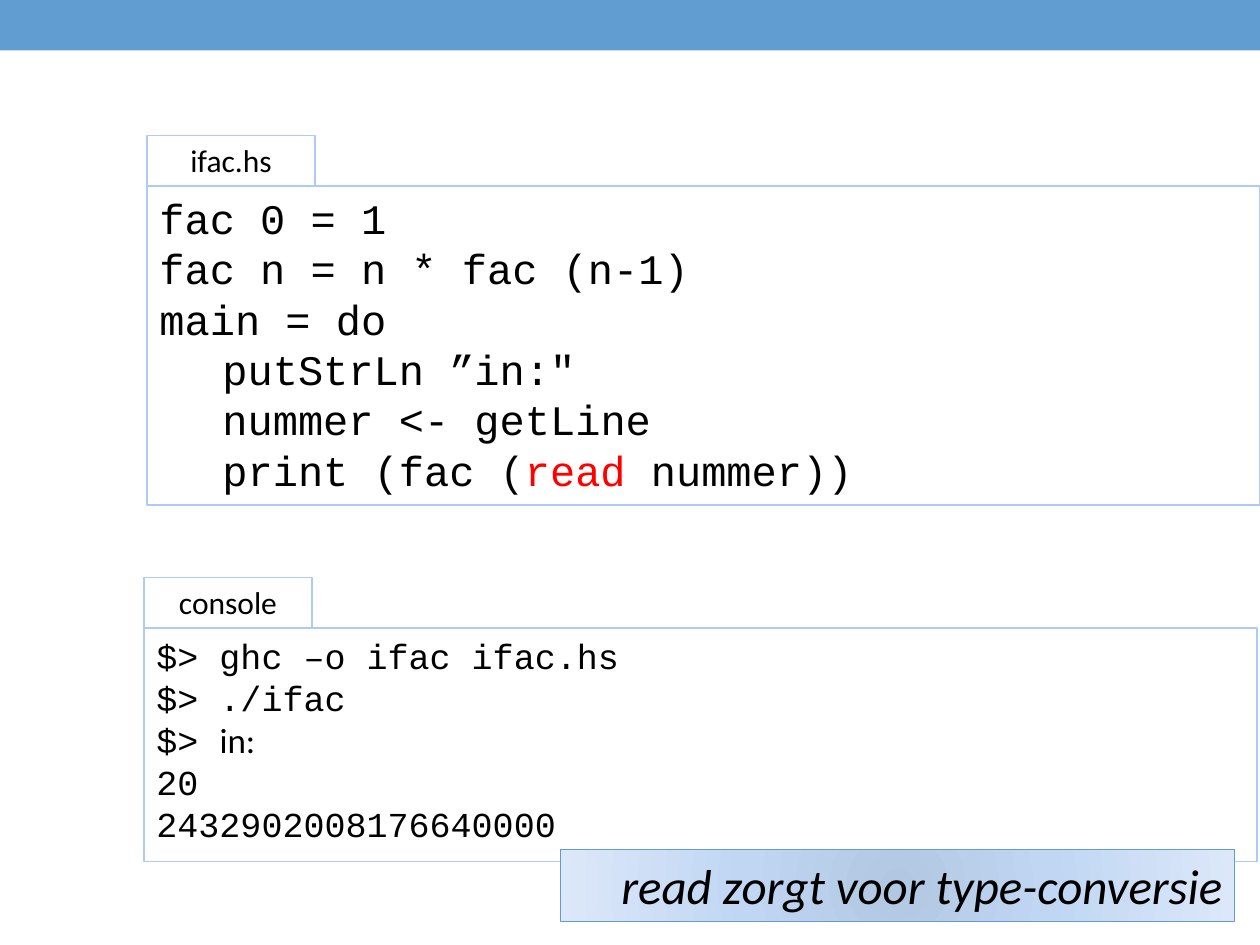
from pptx import Presentation
from pptx.dml.color import RGBColor
from pptx.enum.shapes import MSO_SHAPE
from pptx.enum.text import MSO_ANCHOR, MSO_AUTO_SIZE, PP_ALIGN
from pptx.oxml import parse_xml
from pptx.oxml.ns import nsdecls
from pptx.util import Pt

COLORS = {"bar": "629DD1", "border": "ACCBF9", "paper": "FFFFFF",
          "text": "000000", "accent": "FF0000"}
GRADIENT = [(0, "B2C7E1"), (45, "C0D6F3"), (100, "DCE8F9")]
CODE, LABEL = "Courier New", "Calibri"


def add_box(box, fill=None, line=None):
    """Add a rectangle; without a fill colour the fill is left unset."""
    sp = s.shapes.add_shape(MSO_SHAPE.RECTANGLE, *[Pt(v) for v in box])
    sp.shadow.inherit = False
    if fill:
        sp.fill.solid()
        sp.fill.fore_color.rgb = RGBColor.from_string(COLORS[fill])
    if line:
        sp.line.color.rgb = RGBColor.from_string(COLORS[line])
        sp.line.width = Pt(0.75)
    else:
        sp.line.fill.background()
    return sp


def write(sp, lines, size, font, align=PP_ALIGN.LEFT, italic=None):
    """Write lines of (text, colour, font) runs; the last two are optional."""
    tf = sp.text_frame
    tf.word_wrap = True
    tf.auto_size = MSO_AUTO_SIZE.SHAPE_TO_FIT_TEXT
    tf.vertical_anchor = MSO_ANCHOR.TOP
    for i, runs in enumerate(lines):
        p = tf.paragraphs[0] if i == 0 else tf.add_paragraph()
        p.alignment = align
        for text, color, run_font in runs:
            r = p.add_run()
            r.text = text
            r.font.size = Pt(size)
            r.font.name = run_font or font
            r.font.italic = italic
            r.font.color.rgb = RGBColor.from_string(COLORS[color or "text"])


prs = Presentation()
prs.slide_width, prs.slide_height = Pt(720), Pt(540)
s = prs.slides.add_slide(prs.slide_layouts[6])

add_box((0, 0, 720, 28.8), "bar")

# Panels: left, top of tab, height of body, text size, tab label, lines
source = [
    [("fac 0 = 1", None, None)],
    [("fac n = n * fac (n-1)", None, None)],
    [("main = do", None, None)],
    [("\tputStrLn ”in:\"", None, None)],
    [("\tnummer <- getLine", None, None)],
    [("\tprint (fac (", None, None), ("read ", "accent", None),
     ("nummer))", None, None)],
]
session = [
    [("$> ghc –o ifac ifac.hs", None, None)],
    [("$> ./ifac", None, None)],
    [("$> ", None, None), ("in:", None, LABEL)],
    [("20", None, None)],
    [("2432902008176640000", None, None)],
]
panels = [(84, 77.3, 182.3, 24, "ifac.hs", source),
          (82.3, 329.8, 133.5, 20, "console", session)]
tab_w, tab_h, body_w = 96, 29, 636
for left, top, height, size, label, lines in panels:
    body = add_box((left, top + tab_h, body_w, height), "paper", "border")
    write(body, lines, size, CODE)
    tab = add_box((left, top, tab_w, tab_h), "paper", "border")
    write(tab, [[(label, None, None)]], 18, LABEL, PP_ALIGN.CENTER)

# Remark with a radial gradient
remark = add_box((320.2, 485.4, 385.4, 41.2), line="bar")
stops = "".join(f'<a:gs pos="{pos * 1000}"><a:srgbClr val="{color}"/></a:gs>'
                for pos, color in GRADIENT)
remark.element.spPr.insert(2, parse_xml(
    f'<a:gradFill {nsdecls("a")} rotWithShape="1"><a:gsLst>{stops}</a:gsLst>'
    '<a:path path="circle"><a:fillToRect l="50000" t="50000" r="50000" b="50000"/>'
    '</a:path></a:gradFill>'))
write(remark, [[("read zorgt voor type-conversie", None, None)]], 28, LABEL,
      PP_ALIGN.RIGHT, italic=True)

prs.save("out.pptx")
